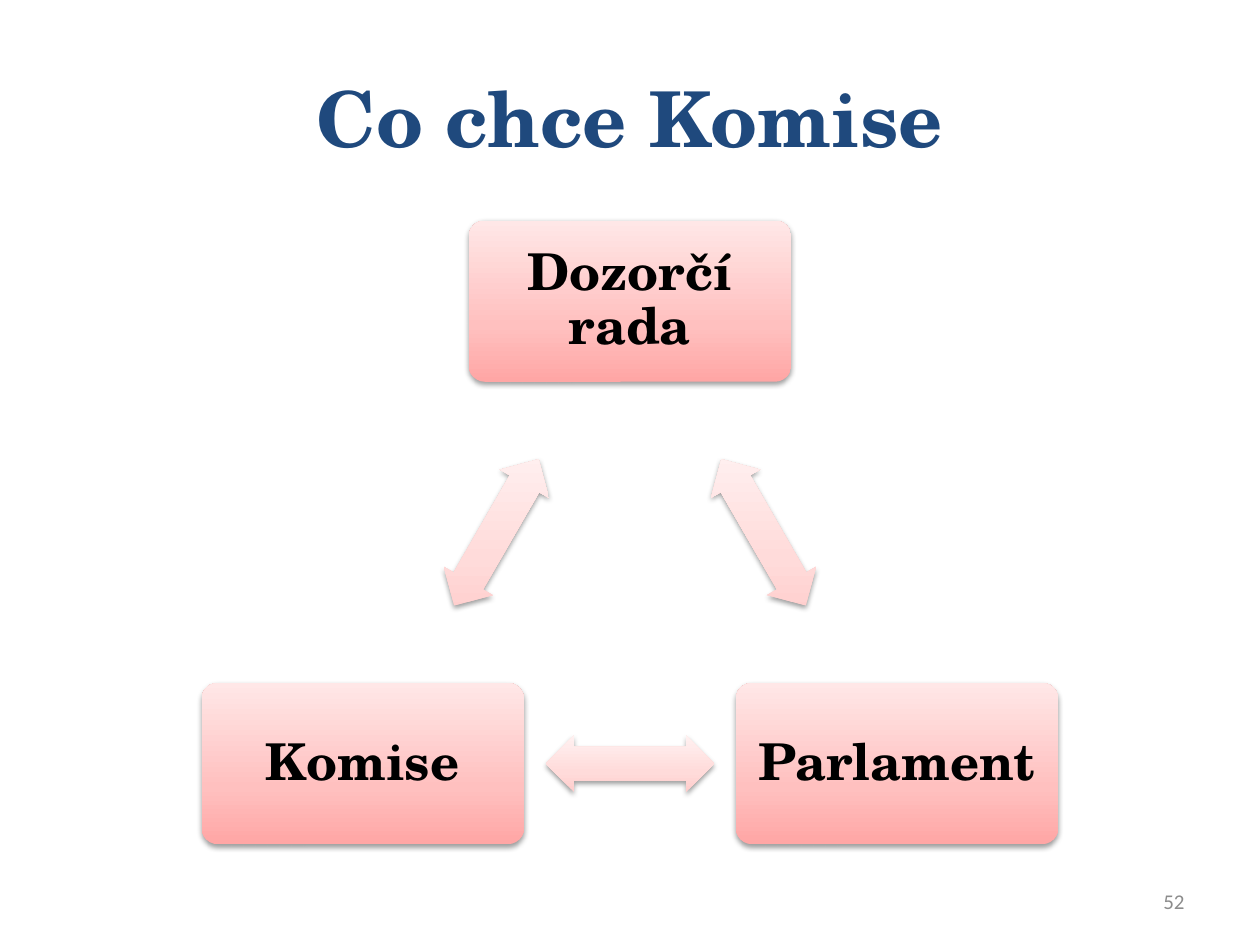
from pptx import Presentation
from pptx.dml.color import RGBColor
from pptx.enum.shapes import MSO_SHAPE as Shape
from pptx.enum.text import MSO_ANCHOR as Anchor, PP_ALIGN as Align
from pptx.oxml import parse_xml
from pptx.oxml.ns import nsdecls
from pptx.util import Inches, Pt

COLORS = {"title": "1F497D", "label": "000000", "number": "8C8C8C", "shadow": "000000"}
BOX_GRADIENT = {0: "FFA6A5", 35: "FFC0BF", 100: "FFE7E7"}
ARROW_GRADIENT = {0: "FFCDCC", 35: "FFDBDA", 100: "FFF1F1"}
HEADING_FONT = "TeX Gyre Schola"
TITLE_FORMAT = {"name": HEADING_FONT, "size": Pt(44), "bold": True}
LABEL_FORMAT = {"name": HEADING_FONT, "size": Pt(29), "bold": True}
NUMBER_FORMAT = {"name": "Calibri", "size": Pt(12), "bold": False}

BOX_SIZE = (2.56, 1.28)
ARROW_SIZE = (1.34, 0.45)
# Centres of the triangle's corners, and of the arrows on its sides
BOXES = [("Dozorčí rada", 5, 2.39), ("Parlament", 7.12, 6.06), ("Komise", 2.88, 6.06)]
ARROWS = [(60, 6.06, 4.225), (180, 5, 6.06), (300, 3.94, 4.225)]


def write_text(shape, text, font_format, color, alignment):
    frame = shape.text_frame
    frame.word_wrap = True
    frame.vertical_anchor = Anchor.MIDDLE
    paragraph = frame.paragraphs[0]
    paragraph.alignment = alignment
    run = paragraph.add_run()
    run.text = text
    for attribute, value in font_format.items():
        setattr(run.font, attribute, value)
    run.font.color.rgb = RGBColor.from_string(COLORS[color])
    return frame


def apply_gradient(shape, gradient):
    """Fill upwards on the slide, whatever the rotation of the shape."""
    stops = "".join(
        f'<a:gs pos="{position * 1000}"><a:srgbClr val="{color}"/></a:gs>'
        for position, color in gradient.items()
    )
    fill = parse_xml(
        f'<a:gradFill {nsdecls("a")} rotWithShape="0"><a:gsLst>{stops}</a:gsLst>'
        '<a:lin ang="16200000" scaled="0"/></a:gradFill>'
    )
    shape.element.spPr.prstGeom.addnext(fill)


def apply_shadow(shape):
    shape.shadow.inherit = False
    effects = shape.element.spPr.find("{*}effectLst")
    effects.append(parse_xml(
        f'<a:outerShdw {nsdecls("a")} blurRad="{Pt(3.1)}" dist="{Pt(1.6)}" dir="5400000" '
        f'rotWithShape="0"><a:srgbClr val="{COLORS["shadow"]}"><a:alpha val="38000"/>'
        '</a:srgbClr></a:outerShdw>'
    ))


def add_soft_shape(slide, kind, center, size, adjustments, gradient):
    corner = [middle - length / 2 for middle, length in zip(center, size)]
    shape = slide.shapes.add_shape(kind, *map(Inches, (*corner, *size)))
    for index, value in enumerate(adjustments):
        shape.adjustments[index] = value
    apply_gradient(shape, gradient)
    shape.line.fill.background()
    apply_shadow(shape)
    return shape


def add_box(slide, label, *center):
    box = add_soft_shape(slide, Shape.ROUNDED_RECTANGLE, center, BOX_SIZE, [0.1], BOX_GRADIENT)
    frame = write_text(box, label, LABEL_FORMAT, "label", Align.CENTER)
    frame.paragraphs[0].line_spacing = 0.9
    for side in ("left", "top", "right", "bottom"):
        setattr(frame, f"margin_{side}", Inches(0.12))


def add_arrow(slide, rotation, *center):
    arrow = add_soft_shape(
        slide, Shape.LEFT_RIGHT_ARROW, center, ARROW_SIZE, [0.6, 0.5], ARROW_GRADIENT)
    arrow.rotation = rotation


def add_title(slide, text):
    title = slide.shapes.title
    title.left, title.top, title.width, title.height = map(Inches, (0.5, 0.3, 9, 1.25))
    write_text(title, text, TITLE_FORMAT, "title", Align.CENTER)


def add_slide_number(slide, number):
    box = slide.shapes.add_textbox(*map(Inches, (7.17, 6.95, 2.33, 0.4)))
    write_text(box, number, NUMBER_FORMAT, "number", Align.RIGHT)


def main():
    presentation = Presentation()
    presentation.slide_width, presentation.slide_height = Inches(10), Inches(7.5)
    slide = presentation.slides.add_slide(presentation.slide_layouts[5])

    add_title(slide, "Co chce Komise")

    # Triangle of institutions, each box followed by its arrow
    for box, arrow in zip(BOXES, ARROWS):
        add_box(slide, *box)
        add_arrow(slide, *arrow)

    add_slide_number(slide, "52")
    presentation.save("out.pptx")


if __name__ == "__main__":
    main()
